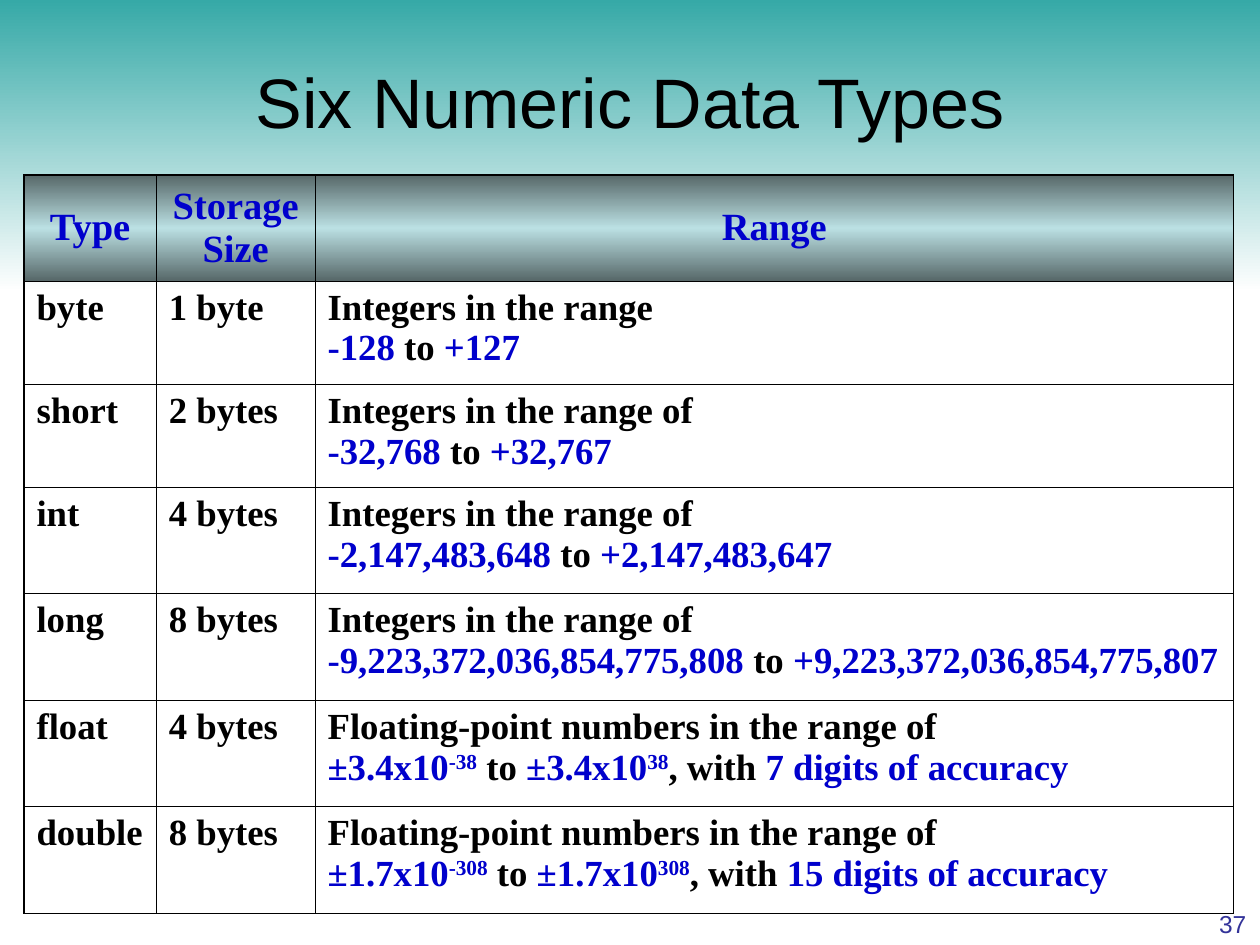
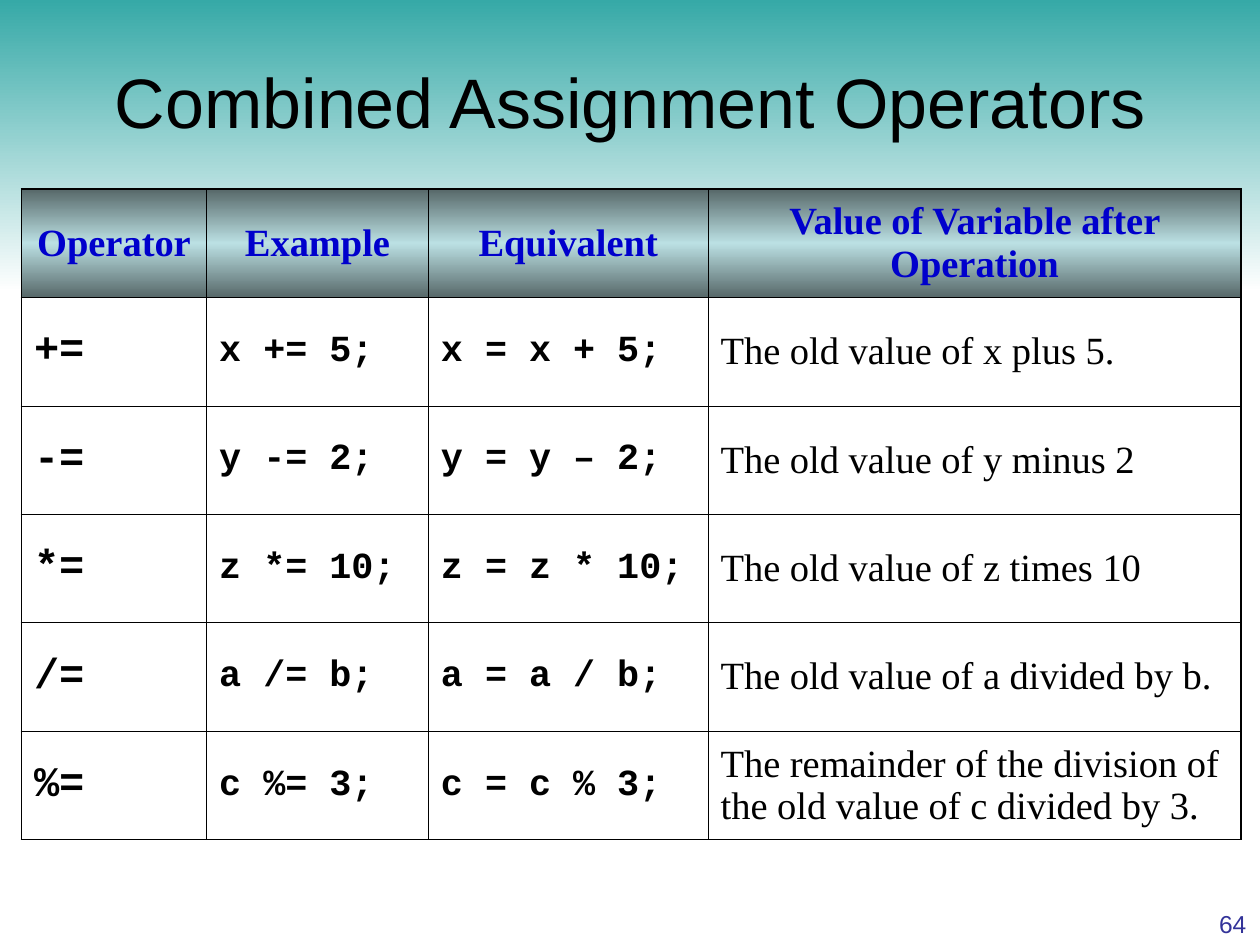
from copy import deepcopy
from dataclasses import dataclass, replace

from lxml import etree
from pptx import Presentation
from pptx import util as u
from pptx.dml.color import RGBColor
from pptx.enum import shapes, text
from pptx.oxml.ns import qn

# Grid: 100 columns by 75 rows
COLUMNS, ROWS = 100, 75
WIDTH, HEIGHT = u.Inches(10), u.Inches(7.5)

TEAL = RGBColor(0x36, 0xA9, 0xA7)
WHITE = RGBColor(0xFF, 0xFF, 0xFF)
BLACK = RGBColor(0x00, 0x00, 0x00)
BLUE = RGBColor(0x00, 0x00, 0xCC)
INDIGO = RGBColor(0x33, 0x33, 0x99)
SLATE = RGBColor(0x57, 0x68, 0x69)
ICE = RGBColor(0xBB, 0xE0, 0xE3)

THIN, THICK = u.Pt(0.45), u.Pt(1.08)


@dataclass(frozen=True)
class Style:
    font: str
    size: int
    color: RGBColor = BLACK
    bold: bool = False
    raised: bool = False


TITLE = Style("Arial", 40)
PAGE_NUMBER = Style("Arial", 14, INDIGO)
HEADER = Style("Times New Roman", 22, BLUE, bold=True)
FACT = Style("Times New Roman", 21, bold=True)
FIGURE = replace(FACT, color=BLUE)
EXPONENT = replace(FIGURE, raised=True)
OPERATOR = Style("Courier New", 24, bold=True)
CODE = replace(OPERATOR, size=21)
REMARK = Style("Times New Roman", 22)


def across(columns):
    return round(WIDTH * columns / COLUMNS)


def down(rows):
    return round(HEIGHT * rows / ROWS)


def place(box):
    left, top, width, height = box
    return across(left), down(top), across(width), down(height)


def write(frame, lines, align=text.PP_ALIGN.LEFT):
    """Fill a text frame with lines, each a list of (words, style) runs."""
    for index, line in enumerate(lines):
        paragraph = frame.add_paragraph() if index else frame.paragraphs[0]
        paragraph.alignment = align
        for words, style in line:
            run = paragraph.add_run()
            run.text = words
            run.font.name = style.font
            run.font.size = u.Pt(style.size)
            run.font.bold = style.bold
            run.font.color.rgb = style.color
            if style.raised:
                run._r.get_or_add_rPr().set("baseline", "30000")


def shade(fill, element, colors):
    """Give a top-to-bottom gradient with evenly spaced colours."""
    fill.gradient()
    fill.gradient_angle = 270
    stop_list = element.find(".//" + qn("a:gsLst"))
    while len(stop_list) < len(colors):
        stop_list.append(deepcopy(stop_list[0]))
    for index, (stop, color) in enumerate(zip(fill.gradient_stops, colors)):
        stop.color.rgb = color
        stop.position = index / (len(colors) - 1)


def rule_cell(cell, thick_sides):
    """Draw the four borders of a cell, some of them thick."""
    properties = cell._tc.get_or_add_tcPr()
    for index, side in enumerate("LRTB"):
        width = THICK if side in thick_sides else THIN
        line = etree.Element(qn("a:ln" + side), w=str(int(width)))
        fill = etree.SubElement(line, qn("a:solidFill"))
        etree.SubElement(fill, qn("a:srgbClr"), val=str(BLACK))
        properties.insert(index, line)


def add_band(slide, box):
    band = slide.shapes.add_shape(shapes.MSO_SHAPE.RECTANGLE, *place(box))
    band.shadow.inherit = False
    band.line.fill.background()
    shade(band.fill, band.element, [TEAL, WHITE])
    slide.shapes.element.insert(2, band.element)  # behind the title


def add_page_number(slide, box, number):
    frame = slide.shapes.add_textbox(*place(box)).text_frame
    frame.word_wrap = True
    frame.vertical_anchor = text.MSO_ANCHOR.BOTTOM
    write(frame, [[(str(number), PAGE_NUMBER)]], text.PP_ALIGN.RIGHT)


def add_table(slide, corner, widths, heights, headings, body, anchor):
    """Place a table whose body cells are lists of lines."""
    box = (*corner, sum(widths), sum(heights))
    last_row, last_column = len(heights) - 1, len(widths) - 1
    table = slide.shapes.add_table(len(heights), len(widths), *place(box)).table
    table.first_row = table.horz_banding = False
    for column, width in zip(table.columns, widths):
        column.width = across(width)
    for row, height in zip(table.rows, heights):
        row.height = down(height)

    rows = [[[[(heading, HEADER)]] for heading in headings], *body]
    for r, row in enumerate(rows):
        for c, lines in enumerate(row):
            cell = table.cell(r, c)
            edges = {"T": r == 0, "B": r == last_row,
                     "L": c == 0, "R": c == last_column}
            rule_cell(cell, [side for side, outer in edges.items() if outer])
            if r == 0:
                shade(cell.fill, cell._tc, [SLATE, ICE, SLATE])
                cell.vertical_anchor = text.MSO_ANCHOR.MIDDLE
                write(cell.text_frame, lines, text.PP_ALIGN.CENTER)
            else:
                cell.fill.background()
                cell.vertical_anchor = anchor
                write(cell.text_frame, lines)


def add_titled_slide(presentation, title, number):
    """Start a slide with the band, the title and the page number."""
    slide = presentation.slides.add_slide(presentation.slide_layouts[5])
    add_band(slide, (0, 0, COLUMNS, 23.2))
    heading = slide.shapes.title
    heading.left, heading.top, heading.width, heading.height = place(
        (0, 2.5, COLUMNS, 10.9))
    heading.text_frame.vertical_anchor = text.MSO_ANCHOR.MIDDLE
    write(heading.text_frame, [[(title, TITLE)]], text.PP_ALIGN.CENTER)
    add_page_number(slide, (92.4, 71.7, 7.5, 3.3), number)
    return slide


def whole_range(low, high, intro="Integers in the range of"):
    return [[(intro, FACT)],
            [(low, FIGURE), (" to ", FACT), (high, FIGURE)]]


def float_range(mantissa, exponent, digits):
    base = (f"±{mantissa}x10", FIGURE)
    return [[("Floating-point numbers in the range of", FACT)],
            [base, (f"-{exponent}", EXPONENT), (" to ", FACT),
             base, (str(exponent), EXPONENT), (", with ", FACT),
             (f"{digits} digits of accuracy", FIGURE)]]


def build_data_types(presentation):
    slide = add_titled_slide(presentation, "Six Numeric Data Types", 37)
    data_types = [
        ("byte", "1 byte", whole_range("-128", "+127", "Integers in the range")),
        ("short", "2 bytes", whole_range("-32,768", "+32,767")),
        ("int", "4 bytes", whole_range("-2,147,483,648", "+2,147,483,647")),
        ("long", "8 bytes", whole_range("-9,223,372,036,854,775,808",
                                        "+9,223,372,036,854,775,807")),
        ("float", "4 bytes", float_range("3.4", 38, 7)),
        ("double", "8 bytes", float_range("1.7", 308, 15)),
    ]
    body = [[[[(name, FACT)]], [[(size, FACT)]], limits]
            for name, size, limits in data_types]
    add_table(slide, (1.9, 13.9), [10.5, 12.6, 72.9],
              [8.4, 8.2, 8.2, 8.4, 8.5, 8.4, 8.5],
              ["Type", "Storage Size", "Range"], body, text.MSO_ANCHOR.TOP)


def build_operators(presentation):
    slide = add_titled_slide(presentation, "Combined Assignment Operators", 64)
    operators = [
        ("+=", "x += 5;", "x = x + 5;", "The old value of x plus 5."),
        ("-=", "y -= 2;", "y = y – 2;", "The old value of y minus 2"),
        ("*=", "z *= 10;", "z = z * 10;", "The old value of z times 10"),
        ("/=", "a /= b;", "a = a / b;", "The old value of a divided by b."),
        ("%=", "c %= 3;", "c = c % 3;",
         "The remainder of the division of the old value of c divided by 3."),
    ]
    styles = [OPERATOR, CODE, CODE, REMARK]
    body = [[[[run]] for run in zip(row, styles)] for row in operators]
    headings = ["Operator", "Example", "Equivalent",
                "Value of Variable after Operation"]
    add_table(slide, (1.7, 15), [14.7, 17.6, 22.2, 42.3],
              [8.61] * (len(operators) + 1), headings, body,
              text.MSO_ANCHOR.MIDDLE)


def main():
    presentation = Presentation()
    presentation.slide_width, presentation.slide_height = WIDTH, HEIGHT
    build_data_types(presentation)
    build_operators(presentation)
    presentation.save("out.pptx")


if __name__ == "__main__":
    main()
